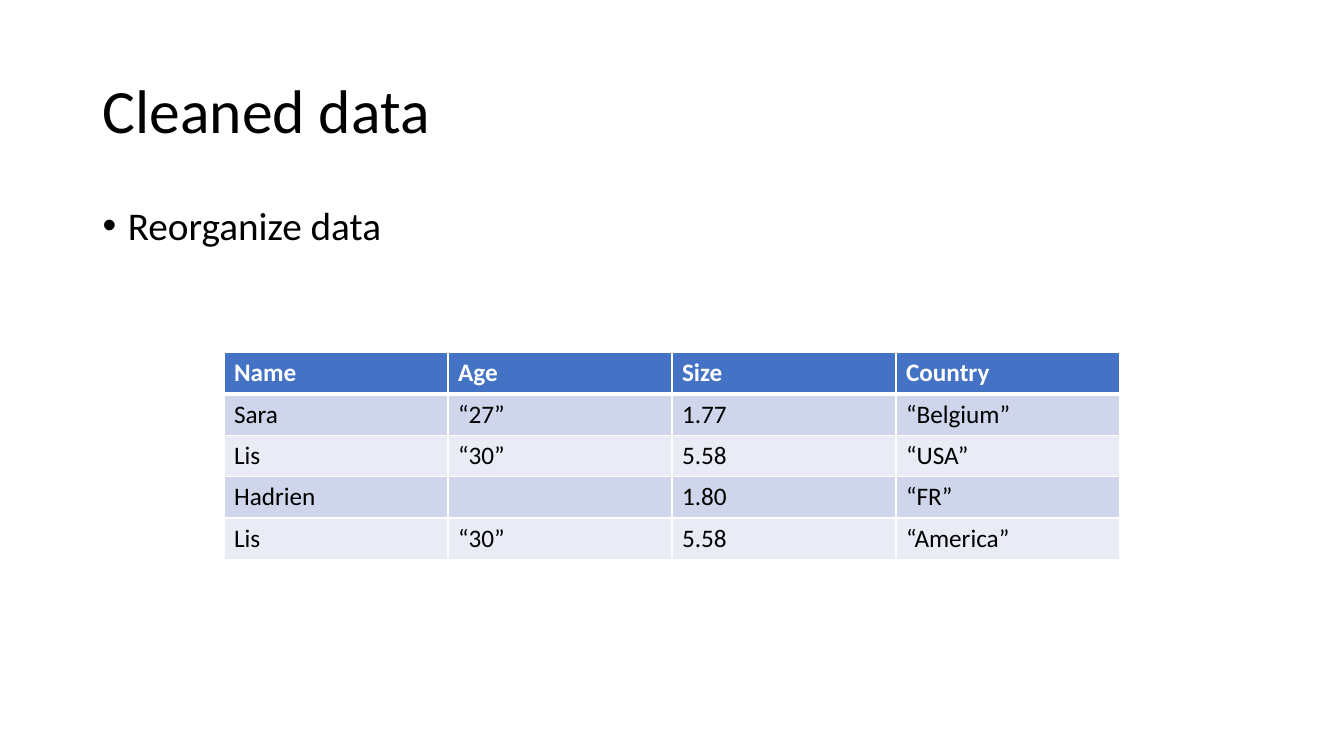
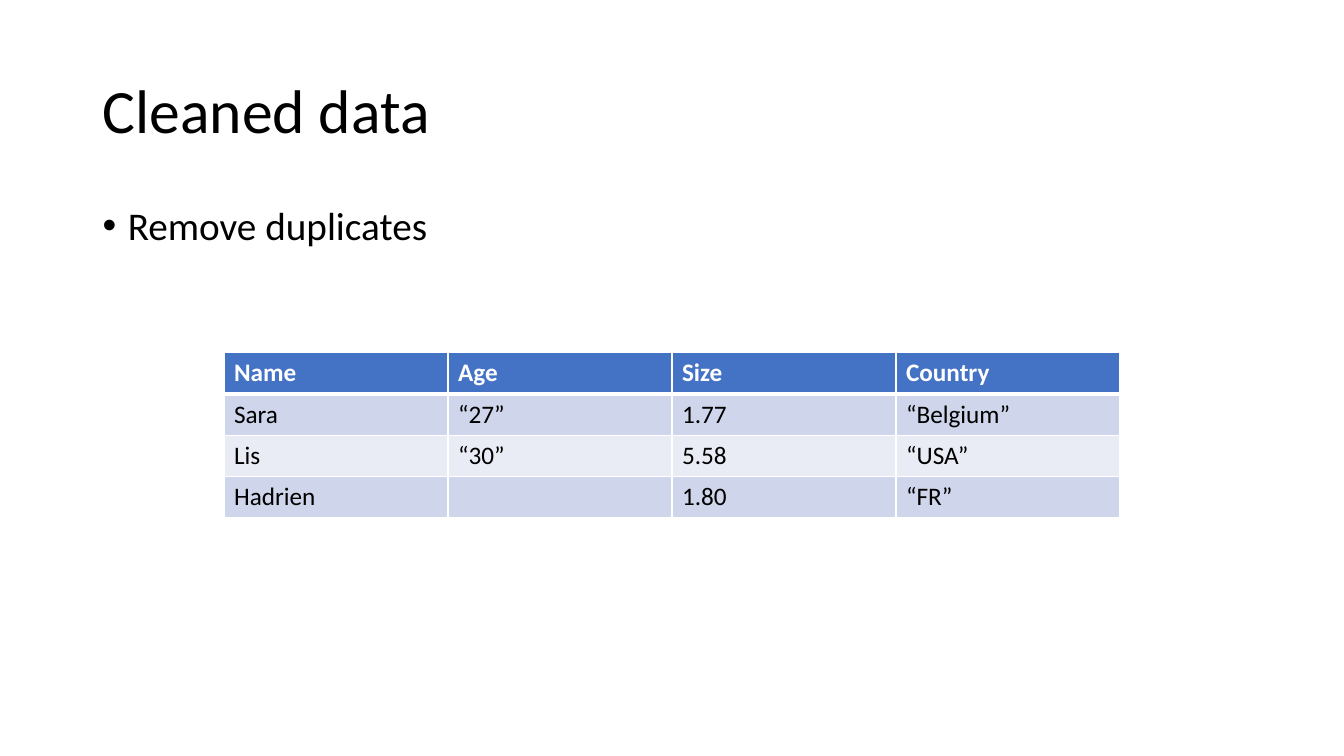
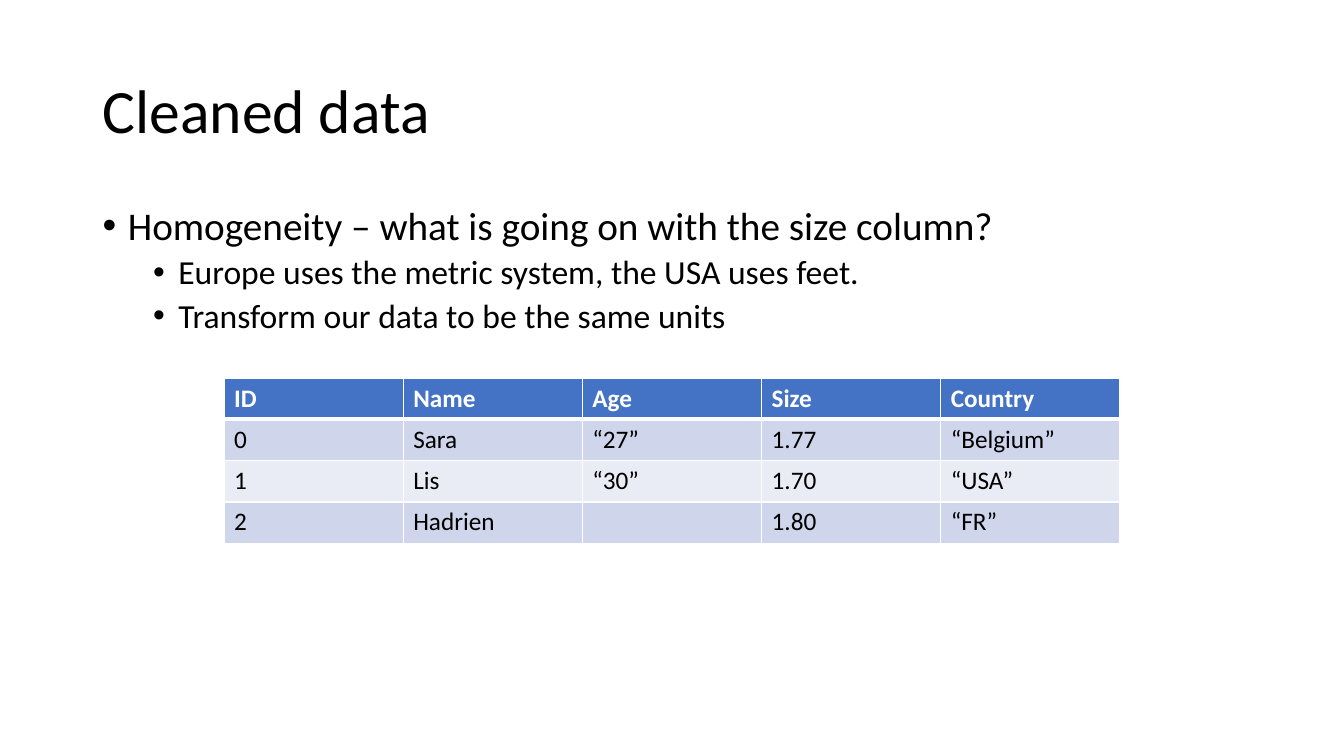
"""Build three slides on cleaning a small data table."""
from lxml import etree
from pptx import Presentation, util as u
from pptx.dml.color import RGBColor
from pptx.enum import text
from pptx.oxml import ns

FONT, BLACK, WHITE = "Calibri", "000000", "FFFFFF"
HEADER, BANDS = "4472C4", ("CFD5EA", "E9EBF5")
MARGIN, ROW_HEIGHT = 0.92, 0.41
LEVELS = [(28, 10, 0.25), (24, 5, 0.75)]

deck = Presentation()
deck.slide_width, deck.slide_height = u.Inches(13.33), u.Inches(7.5)
table_left = deck.slide_width // 6
table_width = deck.slide_width * 2 // 3


def style(paragraph, size, color=BLACK, bold=False):
    font = paragraph.font
    font.name, font.size, font.bold = FONT, u.Pt(size), bold
    font.color.rgb = RGBColor.from_string(color)


def add_text(slide, top, height, anchor):
    box = slide.shapes.add_textbox(
        u.Inches(MARGIN), u.Inches(top), deck.slide_width - 2 * u.Inches(MARGIN), u.Inches(height))
    box.text_frame.word_wrap = True
    box.text_frame.vertical_anchor = anchor
    return box.text_frame


columns = ["Name", "Age", "Size", "Country"]
sara = ["Sara", "“27”", "1.77", "“Belgium”"]
lis = ["Lis", "“30”", "5.58", "“USA”"]
hadrien = ["Hadrien", "", "1.80", "“FR”"]
lis_again = ["Lis", "“30”", "5.58", "“America”"]
lis_metric = ["Lis", "“30”", "1.70", "“USA”"]
numbered = [["ID"] + columns]
numbered += [[str(number)] + person for number, person in enumerate([sara, lis_metric, hadrien])]

pages = [
    ([("Reorganize data", 0)], 3.5, [columns, sara, lis, hadrien, lis_again]),
    ([("Remove duplicates", 0)], 3.5, [columns, sara, lis, hadrien]),
    ([("Homogeneity – what is going on with the size column?", 0),
      ("Europe uses the metric system, the USA uses feet.", 1),
      ("Transform our data to be the same units", 1)], 3.75, numbered),
]

for bullets, table_top, rows in pages:
    page = deck.slides.add_slide(deck.slide_layouts[6])

    title = add_text(page, 0.4, 1.45, text.MSO_ANCHOR.MIDDLE).paragraphs[0]
    title.text, title.line_spacing = "Cleaned data", 0.9
    style(title, 44)

    body = add_text(page, 2, 4.76, text.MSO_ANCHOR.TOP)
    for index, (wording, level) in enumerate(bullets):
        para = body.add_paragraph() if index else body.paragraphs[0]
        size, space, indent = LEVELS[level]
        para.text, para.level = wording, level
        para.line_spacing, para.space_before = 0.9, u.Pt(space)
        style(para, size)
        properties = para._p.get_or_add_pPr()
        properties.set("marL", str(u.Inches(indent)))
        properties.set("indent", str(u.Inches(-0.25)))
        bullet_font = etree.Element(ns.qn("a:buFont"), typeface="Arial")
        bullet = etree.Element(ns.qn("a:buChar"), char="•")
        default_run = properties.find(ns.qn("a:defRPr"))
        default_run.addprevious(bullet_font)
        default_run.addprevious(bullet)

    table = page.shapes.add_table(
        len(rows), len(rows[0]), table_left, u.Inches(table_top),
        table_width, u.Inches(ROW_HEIGHT * len(rows))).table
    for row_index, row in enumerate(rows):
        is_header = row_index == 0
        for column_index, value in enumerate(row):
            cell = table.cell(row_index, column_index)
            para = cell.text_frame.paragraphs[0]
            para.text = value
            style(para, 18, WHITE if is_header else BLACK, is_header)
            for side in "LRTB":
                thick = (row_index, side) in [(0, "B"), (1, "T")]
                border = etree.SubElement(
                    cell._tc.get_or_add_tcPr(), ns.qn("a:ln" + side), w=str(u.Pt(3 if thick else 1)))
                paint = etree.SubElement(border, ns.qn("a:solidFill"))
                etree.SubElement(paint, ns.qn("a:srgbClr"), val=WHITE)
            cell.fill.solid()
            cell.fill.fore_color.rgb = RGBColor.from_string(
                HEADER if is_header else BANDS[(row_index - 1) % 2])

deck.save("out.pptx")
